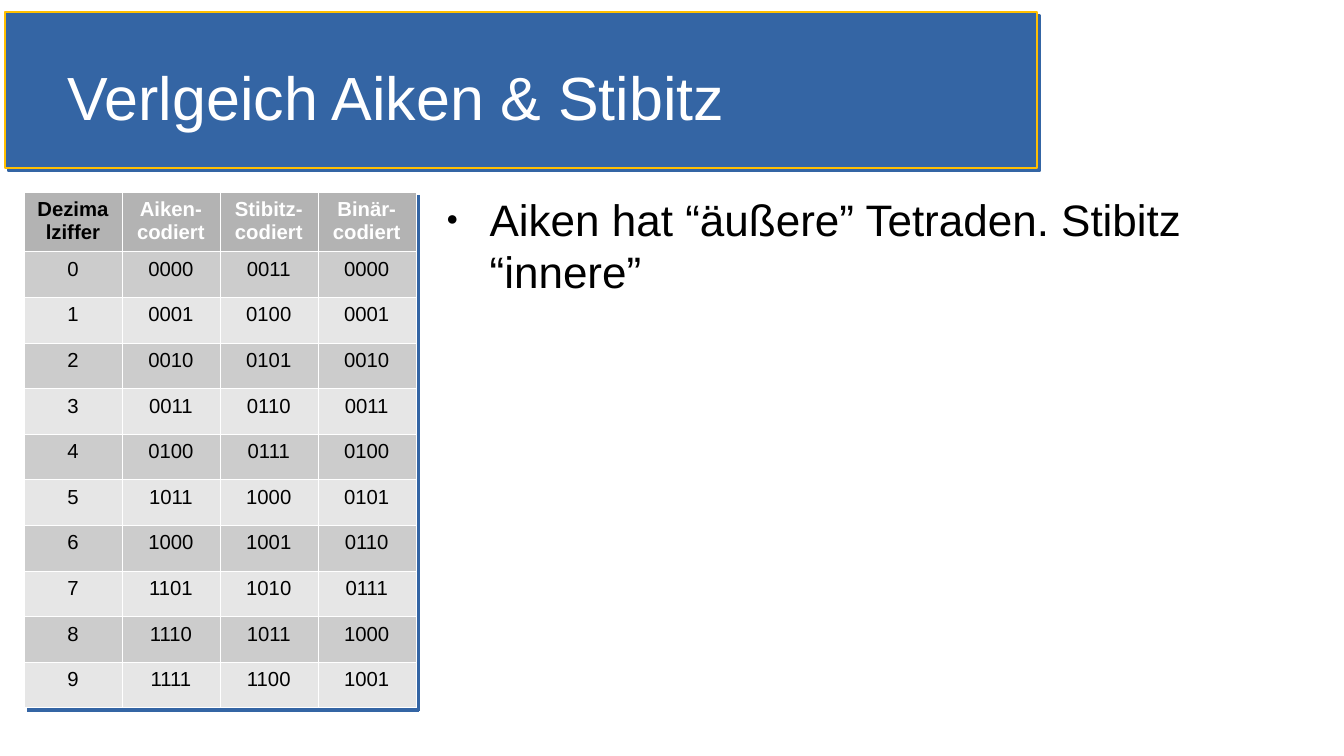
from lxml.etree import SubElement
from pptx import Presentation
from pptx.dml.color import RGBColor
from pptx.enum.shapes import MSO_SHAPE as Shape
from pptx.enum.text import MSO_ANCHOR as Anchor, MSO_AUTO_SIZE as AutoSize, PP_ALIGN as Align
from pptx.oxml.ns import qn
from pptx.util import Cm, Pt

FONT = "Arial"
BLUE, GOLD, WHITE, BLACK = "3465A4", "FFBF00", "FFFFFF", "000000"
HEADER_FILL, BAND_FILLS = "B3B3B3", ("CCCCCC", "E6E6E6")

HEADERS = ("Dezimalziffer", "Aiken-codiert", "Stibitz-codiert", "Binär-codiert")
AIKEN = "0000 0001 0010 0011 0100 1011 1000 1101 1110 1111".split()


def color(hex_string):
    return RGBColor.from_string(hex_string)


def add_run(paragraph, text, size, hex_color, bold=False):
    run = paragraph.add_run()
    run.text = text
    run.font.name = FONT
    run.font.size = Pt(size)
    run.font.bold = bold
    run.font.color.rgb = color(hex_color)


def add_shadow(properties, position):
    """Hard blue shadow, 2.8 pt towards the lower right."""
    effects = SubElement(properties, qn("a:effectLst"))
    shadow = SubElement(effects, qn("a:outerShdw"), blurRad="0", dist=str(Pt(2.8)),
                        dir="2700000", algn="tl", rotWithShape="0")
    SubElement(shadow, qn("a:srgbClr"), val=BLUE)
    properties.insert(position, effects)


def add_banner(slide):
    banner = slide.shapes.add_shape(Shape.RECTANGLE, Cm(0.1), Cm(0.25), Cm(21.5), Cm(3.25))
    banner.fill.solid()
    banner.fill.fore_color.rgb = color(BLUE)
    banner.line.color.rgb = color(GOLD)
    banner.line.width = Pt(1.42)
    properties = banner._element.spPr
    add_shadow(properties, len(properties))
    # Behind the placeholders
    slide.shapes._spTree.insert(2, banner._element)


def place_text(placeholder, left, top, width, height, anchor):
    placeholder.left, placeholder.top = Cm(left), Cm(top)
    placeholder.width, placeholder.height = Cm(width), Cm(height)
    frame = placeholder.text_frame
    frame.margin_left = frame.margin_top = frame.margin_right = frame.margin_bottom = 0
    frame.word_wrap = True
    frame.auto_size = AutoSize.NONE
    frame.vertical_anchor = anchor
    paragraph = frame.paragraphs[0]
    paragraph.alignment = Align.LEFT
    paragraph.space_before = Pt(0)
    return paragraph


def add_bullet(paragraph):
    paragraph.space_after = Pt(11.5)
    properties = paragraph._p.get_or_add_pPr()
    properties.set("marL", str(Cm(1.2)))
    properties.set("indent", str(Cm(-0.9)))
    bullet_color = SubElement(properties, qn("a:buClr"))
    SubElement(bullet_color, qn("a:srgbClr"), val=BLACK)
    SubElement(properties, qn("a:buSzPct"), val="45000")
    SubElement(properties, qn("a:buFont"), typeface=FONT)
    SubElement(properties, qn("a:buChar"), char="●")


def add_cell_borders(cell):
    properties = cell._tc.get_or_add_tcPr()
    for position, side in enumerate(("a:lnL", "a:lnR", "a:lnT", "a:lnB")):
        line = SubElement(properties, qn(side), w=str(Pt(0.06)))
        fill = SubElement(line, qn("a:solidFill"))
        SubElement(fill, qn("a:srgbClr"), val=WHITE)
        properties.insert(position, line)


def fill_cell(cell, text, fill, hex_color, bold):
    cell.margin_left = cell.margin_right = Cm(0.25)
    cell.margin_top = cell.margin_bottom = Cm(0.13)
    cell.fill.solid()
    cell.fill.fore_color.rgb = color(fill)
    add_cell_borders(cell)
    paragraph = cell.text_frame.paragraphs[0]
    paragraph.alignment = Align.CENTER
    add_run(paragraph, text, 12, hex_color, bold)


def add_code_table(slide):
    # Stibitz is the binary code of the digit plus three
    rows = [HEADERS] + [(str(digit), aiken, f"{digit + 3:04b}", f"{digit:04b}")
                        for digit, aiken in enumerate(AIKEN)]
    table = slide.shapes.add_table(len(rows), len(HEADERS), Cm(0.5), Cm(4),
                                   Cm(8.16), Cm(10.72)).table
    add_shadow(table._tbl.tblPr, 0)
    for column in table.columns:
        column.width = Cm(2.04)
    for row_index, values in enumerate(rows):
        is_header = row_index == 0
        table.rows[row_index].height = Cm(1.24 if is_header else 0.95)
        fill = HEADER_FILL if is_header else BAND_FILLS[(row_index - 1) % 2]
        for column_index, value in enumerate(values):
            text_color = WHITE if is_header and column_index else BLACK
            fill_cell(table.cell(row_index, column_index), value, fill, text_color, is_header)


def main():
    presentation = Presentation()
    presentation.slide_width, presentation.slide_height = Cm(28), Cm(15.75)
    slide = presentation.slides.add_slide(presentation.slide_layouts[1])

    # Title on its banner
    add_banner(slide)
    title = place_text(slide.shapes.title, 1.4, 0.75, 19.5, 2.5, Anchor.MIDDLE)
    add_run(title, "Verlgeich Aiken & Stibitz", 36, WHITE)

    # Remark beside the table
    remark = place_text(slide.placeholders[1], 9, 4, 17.5, 9.5, Anchor.TOP)
    add_bullet(remark)
    add_run(remark, "Aiken hat “äußere” Tetraden. Stibitz “innere”", 26, BLACK)

    # Comparison of the codes
    add_code_table(slide)

    presentation.save("out.pptx")


if __name__ == "__main__":
    main()
